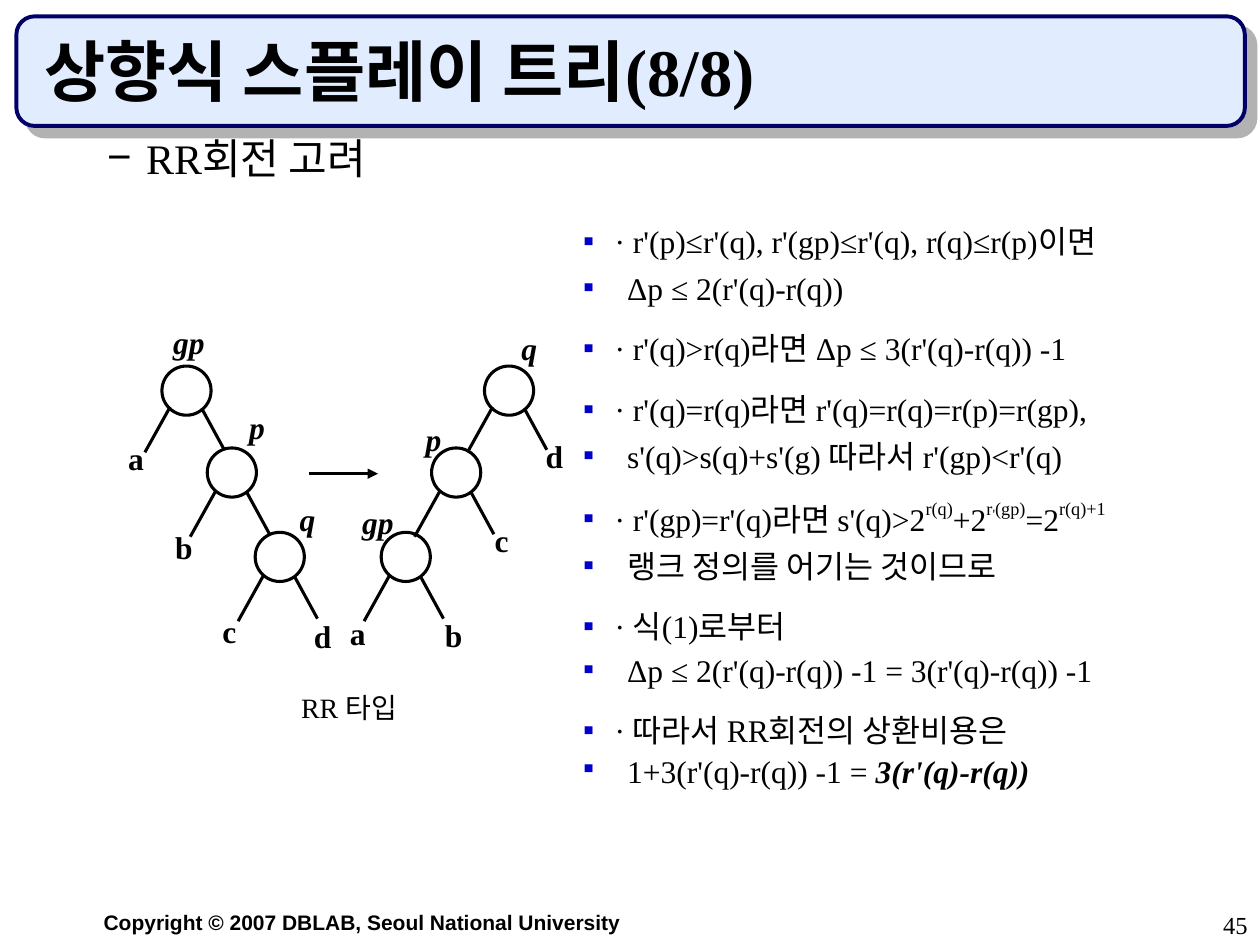
import pptx
import pptx.util
import pptx.dml.color
import pptx.oxml
import pptx.oxml.ns
import pptx.enum.shapes
import pptx.enum.text
from lxml import etree

SHAPE = pptx.enum.shapes.MSO_SHAPE
ALIGN = pptx.enum.text.PP_ALIGN
ANCHOR = pptx.enum.text.MSO_ANCHOR
Inches = pptx.util.Inches

TITLE = "상향식 스플레이 트리(8/8)"
TOPIC = "RR회전 고려"
CAPTION = "RR 타입"
COPYRIGHT = "Copyright © 2007 DBLAB, Seoul National University"
PAGE = "45"

SUPER = {"baseline": 50000}
# Each line: continues the line above, line spacing, runs of (text, format)
PROOF = [
    (False, 0.8, [("· r'(p)≤r'(q), r'(gp)≤r'(q), r(q)≤r(p)이면", {})]),
    (True, 0.7, [("Δp ≤ 2(r'(q)-r(q))", {})]),
    (False, 1.1, [("· r'(q)>r(q)라면 Δp ≤ 3(r'(q)-r(q)) -1", {})]),
    (False, 1.1, [("· r'(q)=r(q)라면 r'(q)=r(q)=r(p)=r(gp),", {})]),
    (True, 0.7, [("s'(q)>s(q)+s'(g) 따라서 r'(gp)<r'(q)", {})]),
    (False, 1.1, [("· r'(gp)=r'(q)라면 s'(q)>2", {}), ("r(q)", SUPER), ("+2", {}),
                  ("r", SUPER), ("'", {"size": 14, **SUPER}), ("(gp)", SUPER),
                  ("=2", {}), ("r(q)+1", SUPER)]),
    (True, 0.7, [("랭크 정의를 어기는 것이므로", {})]),
    (False, 1.1, [("· 식(1)로부터", {})]),
    (True, 0.6, [("Δp ≤ 2(r'(q)-r(q)) -1 = 3(r'(q)-r(q)) -1", {})]),
    (False, 1.1, [("· 따라서 RR회전의 상환비용은", {})]),
    (True, 0.5, [("1+3(r'(q)-r(q)) -1 = ", {}),
                 ("3(r'(q)-r(q))", {"bold": True, "italic": True})]),
]

# Node centres from the root down, and label centres
LEVELS = [3.1, 3.75, 4.42]
TREES = [
    {"nodes": [1.48, 1.84, 2.22],
     "keys": [("gp", 1.5, 2.74), ("p", 2.04, 3.42), ("q", 2.44, 4.15)],
     "subtrees": [("a", 1.08, 3.66), ("b", 1.46, 4.37), ("c", 1.82, 5.04), ("d", 2.56, 5.08)]},
    {"nodes": [4.04, 3.62, 3.22],
     "keys": [("q", 4.2, 2.79), ("p", 3.44, 3.51), ("gp", 3.0, 4.17)],
     "subtrees": [("a", 2.84, 5.05), ("b", 3.6, 5.07), ("c", 3.98, 4.31), ("d", 4.4, 3.65)]},
]
DIAMETER = 0.39
BRANCHES = [(-0.13, 0.15, -0.33, 0.51), (0.12, 0.16, 0.3, 0.49)]
ROOT_RISE = 0.02


def color(value):
    return pptx.dml.color.RGBColor.from_string(value)


def add_run(paragraph, text, size=18, font="Times New Roman", bold=False,
            italic=False, baseline=None):
    run = paragraph.add_run()
    run.text = text
    run.font.size = pptx.util.Pt(size)
    run.font.name = font
    run.font.bold = bold
    run.font.italic = italic
    run.font.color.rgb = color("000000")
    if baseline:
        run.font._element.set("baseline", str(baseline))


def format_paragraph(paragraph, align=ALIGN.LEFT, spacing=1.0, before=0):
    paragraph.alignment = align
    paragraph.line_spacing = spacing
    paragraph.space_before = pptx.util.Pt(before)


def add_bullet(paragraph, mark, shade, margin, hang):
    properties = paragraph._p.get_or_add_pPr()
    properties.set("marL", str(Inches(margin)))
    properties.set("indent", str(-Inches(hang)))
    tint = etree.SubElement(properties, pptx.oxml.ns.qn("a:buClr"))
    etree.SubElement(tint, pptx.oxml.ns.qn("a:srgbClr"), val=shade)
    etree.SubElement(properties, pptx.oxml.ns.qn("a:buFont"), typeface="Arial")
    etree.SubElement(properties, pptx.oxml.ns.qn("a:buChar"), char=mark)


def place(shape, left, top, width, height):
    shape.left, shape.top = Inches(left), Inches(top)
    shape.width, shape.height = Inches(width), Inches(height)


def add_text(slide, text, box, align=ALIGN.CENTER, spacing=1.0, **run_format):
    frame = slide.shapes.add_textbox(*map(Inches, box)).text_frame
    frame.word_wrap = True
    format_paragraph(frame.paragraphs[0], align, spacing)
    add_run(frame.paragraphs[0], text, **run_format)


def style_line(shape, shade="000000", width=1.75):
    shape.line.color.rgb = color(shade)
    shape.line.width = pptx.util.Pt(width)


def add_line(slide, *ends):
    line = slide.shapes.add_connector(
        pptx.enum.shapes.MSO_CONNECTOR.STRAIGHT, *map(Inches, ends))
    style_line(line)
    etree.SubElement(line._element.spPr, pptx.oxml.ns.qn("a:effectLst"))
    return line


def add_banner(slide):
    banner = slide.shapes.add_shape(
        SHAPE.ROUNDED_RECTANGLE, *map(Inches, (0.13, 0.13, 9.75, 0.87)))
    banner.fill.solid()
    banner.fill.fore_color.rgb = color("E1ECFF")
    style_line(banner, "000066", 2.25)
    banner.shadow.inherit = False
    effects = banner._element.spPr.find(pptx.oxml.ns.qn("a:effectLst"))
    shadow = etree.SubElement(
        effects, pptx.oxml.ns.qn("a:outerShdw"), blurRad="0",
        dist=str(pptx.util.Pt(8.5)), dir="2700000", algn="ctr", rotWithShape="0")
    etree.SubElement(shadow, pptx.oxml.ns.qn("a:srgbClr"), val="B2B2B2")
    slide.shapes._spTree.insert(2, banner._element)  # behind the title


def add_headings(slide):
    title, body = slide.placeholders
    place(title, 0.25, 0.25, 9.42, 0.67)
    place(body, 0.25, 1.08, 9.42, 5.83)
    for holder, anchor in ((title, ANCHOR.BOTTOM), (body, ANCHOR.TOP)):
        holder.text_frame.auto_size = pptx.enum.text.MSO_AUTO_SIZE.NONE
        holder.text_frame.vertical_anchor = anchor
    heading, topic = (h.text_frame.paragraphs[0] for h in (title, body))
    format_paragraph(heading)
    add_run(heading, TITLE, size=38, bold=True)
    topic.level = 1
    format_paragraph(topic, spacing=0.8)
    add_bullet(topic, "−", "000000", 0.81, 0.31)
    add_run(topic, TOPIC, size=24)


def add_tree(slide, tree):
    for depth, (x, y) in enumerate(zip(tree["nodes"], LEVELS)):
        node = slide.shapes.add_shape(SHAPE.OVAL, *map(Inches, (
            x - DIAMETER / 2, y - DIAMETER / 2, DIAMETER, DIAMETER)))
        node.fill.background()
        style_line(node)
        node.shadow.inherit = False
        edge_y = y if depth else y - ROOT_RISE
        for x1, y1, x2, y2 in BRANCHES:
            add_line(slide, x + x1, edge_y + y1, x + x2, edge_y + y2)
    for group in ("keys", "subtrees"):
        for text, x, y in tree[group]:
            width = 0.57 if len(text) > 1 else 0.39
            add_text(slide, text, (x - width / 2, y - 0.17, width, 0.34),
                     spacing=0.8, bold=True, italic=group == "keys")


def add_proof(slide):
    frame = slide.shapes.add_textbox(*map(Inches, (4.53, 1.77, 4.8, 4.55))).text_frame
    frame.word_wrap = True
    for number, (continues, spacing, runs) in enumerate(PROOF):
        line = frame.add_paragraph() if number else frame.paragraphs[0]
        format_paragraph(line, spacing=spacing, before=11.2 if number else 0)
        margin = 0.35 if continues else 0.25
        add_bullet(line, "▪", "0000CC", margin, margin)
        for text, run_format in runs:
            add_run(line, text, **run_format)


def main():
    deck = pptx.Presentation()
    deck.slide_width, deck.slide_height = Inches(10), Inches(7.5)
    slide = deck.slides.add_slide(deck.slide_layouts[1])
    add_headings(slide)
    add_banner(slide)
    for tree in TREES:
        add_tree(slide, tree)
    arrow = add_line(slide, 2.45, 3.76, 3, 3.76)
    etree.SubElement(arrow.line._get_or_add_ln(), pptx.oxml.ns.qn("a:tailEnd"),
                     type="triangle")
    add_text(slide, CAPTION, (2.14, 5.48, 1.26, 0.32), spacing=0.8, size=16)
    add_proof(slide)
    add_text(slide, COPYRIGHT, (0.25, 7.17, 5.25, 0.3), size=12, font="Arial", bold=True)
    add_text(slide, PAGE, (7.92, 7.17, 2.08, 0.33), align=ALIGN.RIGHT, size=14)
    deck.save("out.pptx")


if __name__ == "__main__":
    main()
